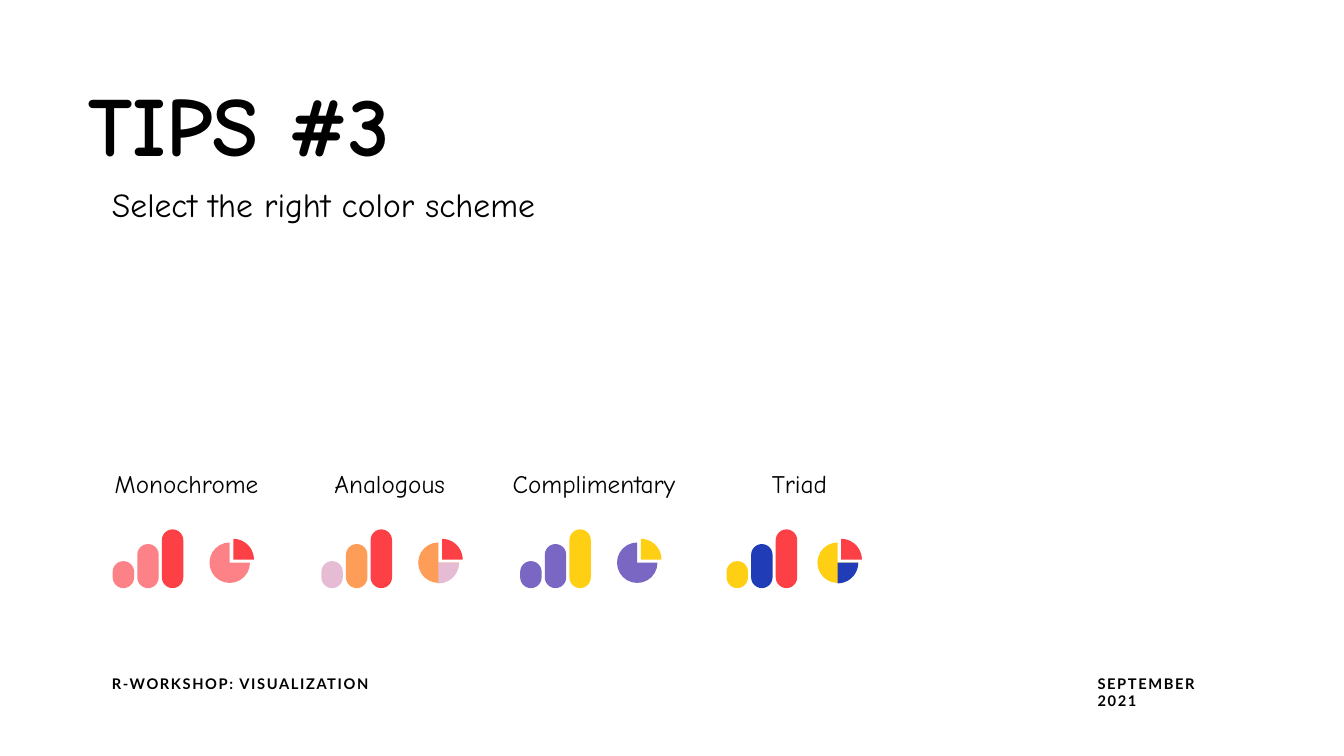
from math import cos, radians, sin

from pptx import Presentation
from pptx.dml.color import RGBColor
from pptx.enum.shapes import MSO_SHAPE
from pptx.enum.text import MSO_ANCHOR
from pptx.util import Cm, Pt

COLOURS = {
    "black": "000000",
    "red": "FC4045",
    "pink": "FC8287",
    "orange": "FE9D57",
    "lilac": "E6BCD5",
    "yellow": "FFCF13",
    "purple": "7A67C4",
    "blue": "213CB7",
}

BAR_WIDTH, BAR_STEP = 0.54, 0.62
BAR_HEIGHTS = (0.68, 1.11, 1.48)
PIE_SIZE, WEDGE_RADIUS = 1.02, 0.52

# label, label left, icon left, pie offset, bar colours, pie, upper wedge, lower wedge
SCHEMES = [
    ("Monochrome", 2.64, 2.84, 2.44, ("pink", "pink", "red"), "pink", "red", None),
    ("Analogous", 8.18, 8.1, 2.44, ("lilac", "orange", "red"), "orange", "red", "lilac"),
    ("Complimentary", 12.67, 13.11, 2.44, ("purple", "purple", "yellow"),
     "purple", "yellow", None),
    ("Triad", 19.2, 18.31, 2.29, ("yellow", "blue", "red"), "yellow", "red", "blue"),
]


def add_text(page, text, left, top, width, height, *, size, font="Comic Neue",
             bold=False, spacing=None):
    box = page.shapes.add_textbox(Cm(left), Cm(top), Cm(width), Cm(height))
    frame = box.text_frame
    frame.word_wrap = True
    frame.vertical_anchor = MSO_ANCHOR.TOP
    span = frame.paragraphs[0].add_run()
    span.text = text
    span.font.name = font
    span.font.size = Pt(size)
    span.font.bold = bold
    span.font.color.rgb = RGBColor.from_string(COLOURS["black"])
    if spacing:
        span.font._element.set("spc", str(round(spacing * 100)))


def paint(shape, colour):
    shape.shadow.inherit = False
    shape.fill.solid()
    shape.fill.fore_color.rgb = RGBColor.from_string(COLOURS[colour])
    shape.line.fill.background()


def add_wedge(group, left, top, start, colour):
    """Draw a quarter disc with its corner at left, top."""
    arc = []
    for angle in range(start, start + 91, 5):
        x = left + WEDGE_RADIUS * cos(radians(angle))
        y = top + WEDGE_RADIUS * sin(radians(angle))
        arc.append((Cm(x), Cm(y)))
    outline = group.shapes.build_freeform(Cm(left), Cm(top))
    outline.add_line_segments(arc, close=True)
    paint(outline.convert_to_shape(), colour)


def add_bars(page, left, bottom, colours):
    group = page.shapes.add_group_shape()
    for index, (height, colour) in enumerate(zip(BAR_HEIGHTS, colours)):
        bar = group.shapes.add_shape(
            MSO_SHAPE.ROUNDED_RECTANGLE, Cm(left + index * BAR_STEP),
            Cm(bottom - height), Cm(BAR_WIDTH), Cm(height))
        bar.adjustments[0] = 0.5
        paint(bar, colour)


def add_pie(page, left, top, colour, upper, lower):
    group = page.shapes.add_group_shape()
    pie = group.shapes.add_shape(
        MSO_SHAPE.PIE, Cm(left), Cm(top), Cm(PIE_SIZE), Cm(PIE_SIZE))
    paint(pie, colour)
    add_wedge(group, left + 0.6, top + 0.43, 270, upper)
    if lower:
        add_wedge(group, left + PIE_SIZE / 2, top + PIE_SIZE / 2, 0, lower)


def add_heading(page, left, top):
    add_text(page, "TIPS #3", left, top, 9.35, 2.82, size=60, bold=True)
    add_text(page, "Select the right color scheme", left + 0.59, top + 2.82,
             12.07, 1.27, size=24)


def add_schemes(page, top):
    for label, label_left, left, pie_offset, bars, pie, upper, lower in SCHEMES:
        add_text(page, label, label_left, top, 4.7, 1.02, size=18)
        add_bars(page, left, top + 3.14, bars)
        add_pie(page, left + pie_offset, top + 1.99, pie, upper, lower)


def add_footer(page, left, top):
    style = {"size": 10.5, "font": "Lato", "bold": True, "spacing": 1.2}
    add_text(page, "R-WORKSHOP: VISUALIZATION", left, top, 7.11, 0.71, **style)
    add_text(page, "SEPTEMBER 2021", left + 24.84, top, 3.89, 0.71, **style)


def main():
    deck = Presentation()
    deck.slide_width, deck.slide_height = Cm(33.87), Cm(19.05)
    page = deck.slides.add_slide(deck.slide_layouts[6])
    add_heading(page, 1.98, 1.7)
    add_schemes(page, 11.68)
    add_footer(page, 2.57, 16.87)
    deck.save("out.pptx")


if __name__ == "__main__":
    main()
